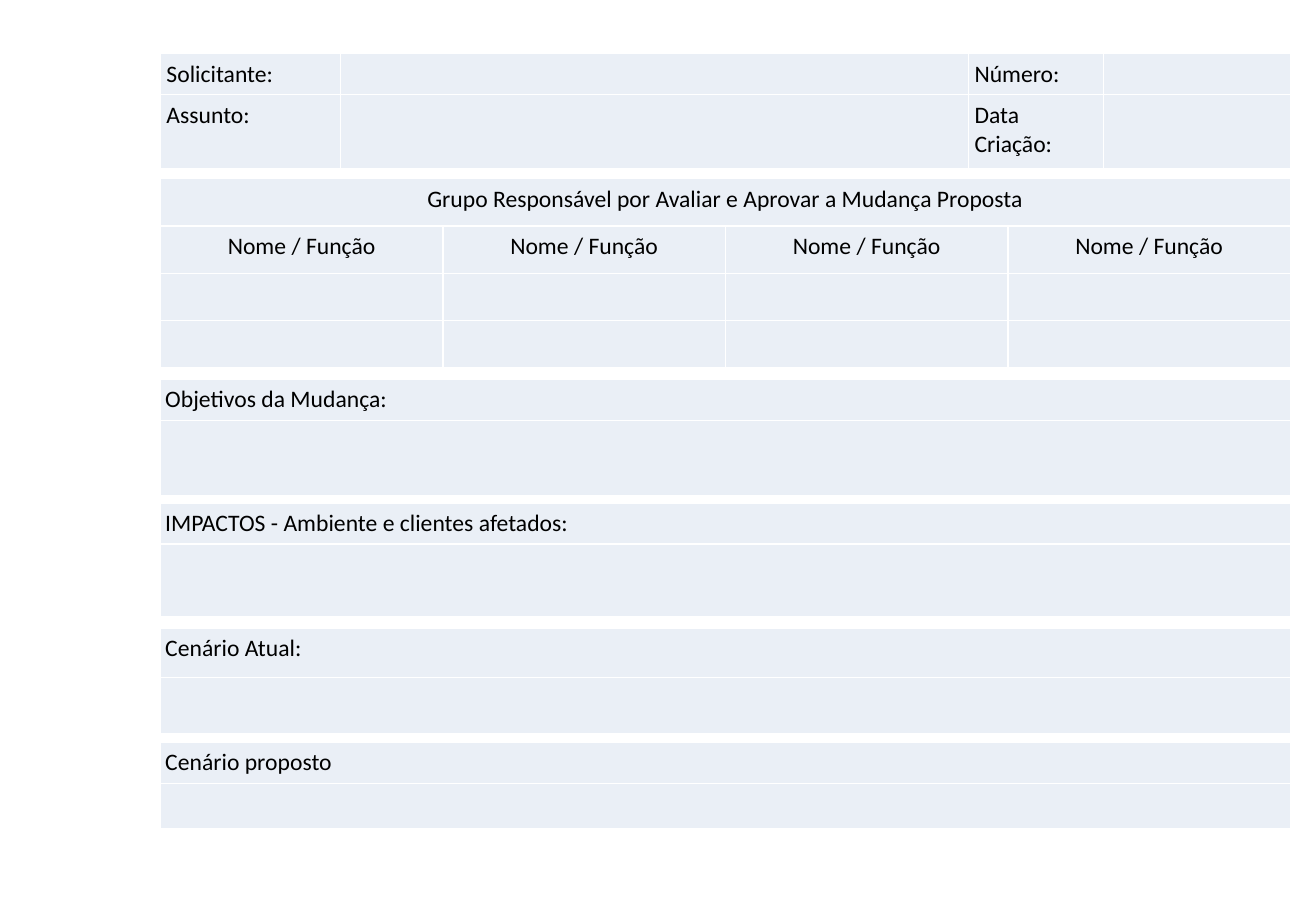
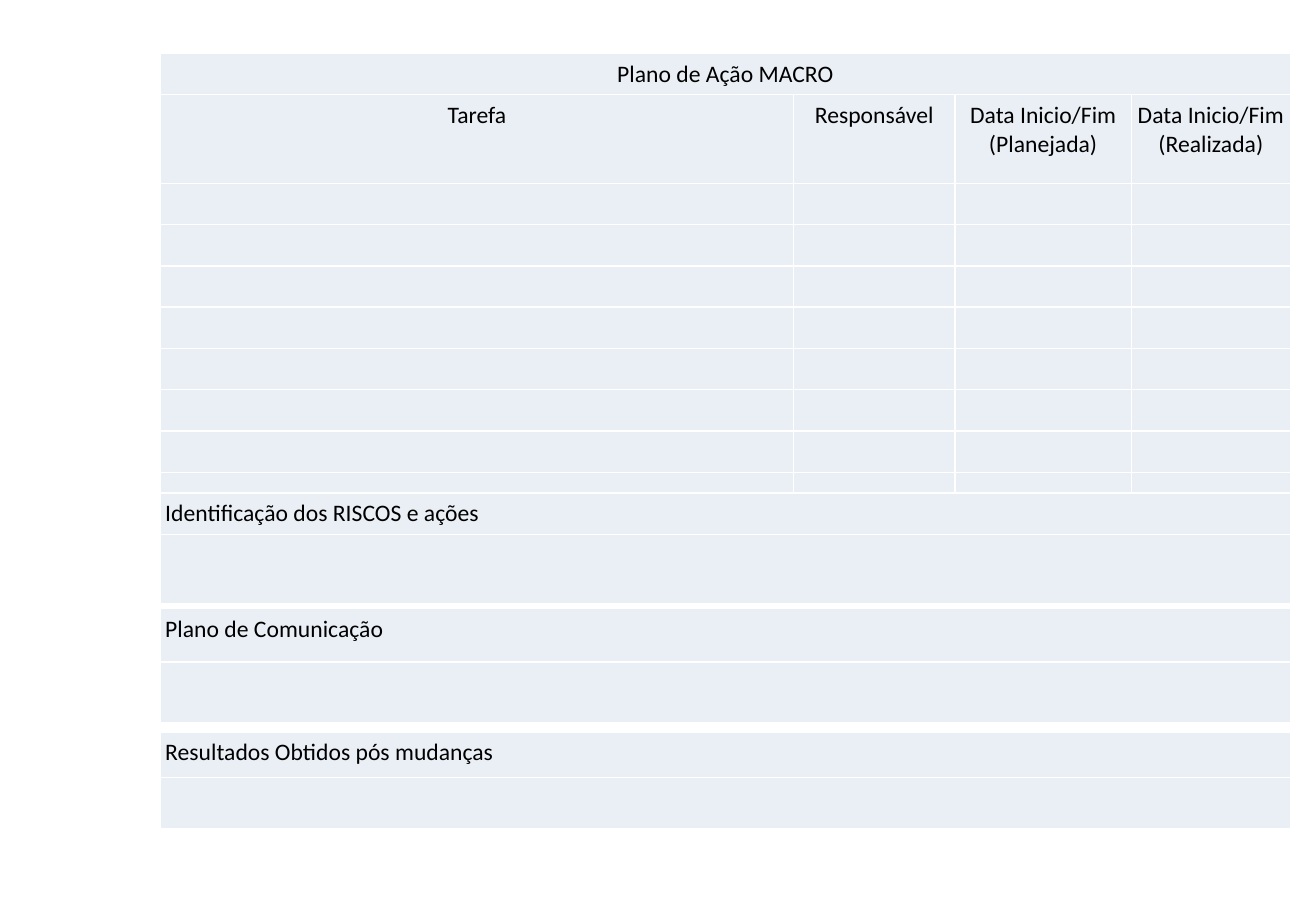
from dataclasses import dataclass, field
from typing import Any

from lxml.etree import SubElement
from pptx import Presentation
from pptx.dml.color import RGBColor
from pptx.enum.text import PP_ALIGN
from pptx.oxml.ns import qn
from pptx.util import Inches, Pt

SLIDE_WIDTH, SLIDE_HEIGHT = Inches(10.83), Inches(7.5)
TABLE_LEFT, TABLE_WIDTH = Inches(1.32), Inches(9.3)
CELL_FILL = RGBColor(0xEA, 0xEF, 0xF6)
BORDER_COLOR = RGBColor(0xFF, 0xFF, 0xFF)
TEXT_COLOR = RGBColor(0x00, 0x00, 0x00)
FONT_SIZE, BORDER_WIDTH = Pt(14), Pt(0.96)
FONT_FORMAT = {"name": "Calibri", "size": FONT_SIZE}
TEXT_ROW = 0.34

FIELD_FORMAT = {"space_before": Pt(4), "space_after": Pt(4)}
HEADER_FORMAT = {"alignment": PP_ALIGN.CENTER}
SECTION_FORMAT = {"space_after": Pt(6)}


@dataclass(frozen=True)
class FormTable:
    """A form block: top and row heights in inches, columns as relative widths."""

    top: float
    rows: tuple[float, ...]
    texts: tuple[tuple[str, ...], ...]
    columns: tuple[float, ...] = (1,)
    paragraph_format: dict[str, Any] = field(default_factory=dict)
    side_margin: float = 0.04
    title_spans: bool = False


def section(top: float, title: str, title_height: float, body_height: float) -> FormTable:
    """Describe a titled block with one empty answer row."""
    return FormTable(top, (title_height, body_height), ((title,),), paragraph_format=SECTION_FORMAT)


PAGES = (
    (
        FormTable(
            0.44, (TEXT_ROW, 0.61),
            (("Solicitante:", "", "Número:", ""), ("Assunto:", "", "Data Criação:", "")),
            (1.48, 5.17, 1.11, 1.54), FIELD_FORMAT, side_margin=0.05,
        ),
        FormTable(
            1.47, (0.39,) * 4,
            (("Grupo Responsável por Avaliar e Aprovar a Mudança Proposta",), ("Nome / Função",) * 4),
            (1,) * 4, HEADER_FORMAT, title_spans=True,
        ),
        section(3.12, "Objetivos da Mudança:", TEXT_ROW, 0.62),
        section(4.14, "IMPACTOS - Ambiente e clientes afetados:", TEXT_ROW, 0.6),
        section(5.17, "Cenário Atual:", 0.41, 0.46),
        section(6.11, "Cenário proposto", TEXT_ROW, 0.37),
    ),
    (
        FormTable(
            0.44, (TEXT_ROW, 0.73) + (TEXT_ROW,) * 8,
            (
                ("Plano de Ação MACRO",),
                ("Tarefa", "Responsável", "Data Inicio/Fim\n(Planejada)", "Data Inicio/Fim\n(Realizada)"),
            ),
            (5.21, 1.33, 1.45, 1.31), HEADER_FORMAT, title_spans=True,
        ),
        section(4.06, "Identificação dos RISCOS e ações", TEXT_ROW, 0.57),
        section(5.01, "Plano de Comunicação", 0.44, 0.5),
        section(6.03, "Resultados Obtidos pós mudanças", 0.37, 0.42),
    ),
)


def apply_format(target: Any, values: dict[str, Any]) -> None:
    """Set each named attribute on the target."""
    for name, value in values.items():
        setattr(target, name, value)


def style_cell(cell: Any, side_margin: float) -> None:
    """Give a cell its margins, borders, fill and empty-text size."""
    side, edge = Inches(side_margin), Inches(0.05)
    apply_format(cell, {
        "margin_left": side, "margin_right": side, "margin_top": edge, "margin_bottom": edge,
    })
    properties = cell._tc.get_or_add_tcPr()
    for tag in ("a:lnL", "a:lnR", "a:lnT", "a:lnB"):
        line = SubElement(properties, qn(tag), w=str(int(BORDER_WIDTH)))
        SubElement(SubElement(line, qn("a:solidFill")), qn("a:srgbClr"), val=str(BORDER_COLOR))
    cell.fill.solid()
    cell.fill.fore_color.rgb = CELL_FILL
    if not cell.text_frame.text:
        SubElement(cell.text_frame.paragraphs[0]._p, qn("a:endParaRPr"), sz=str(int(FONT_SIZE.pt * 100)))


def write_cell(cell: Any, text: str, paragraph_format: dict[str, Any]) -> None:
    """Write one paragraph per line of text."""
    cell.text_frame.text = text
    for para in cell.text_frame.paragraphs:
        apply_format(para, paragraph_format)
        for span in para.runs:
            apply_format(span.font, FONT_FORMAT)
            span.font.color.rgb = TEXT_COLOR


def draw_table(page: Any, form: FormTable) -> None:
    """Draw one form block on the page."""
    table = page.shapes.add_table(
        len(form.rows), len(form.columns), TABLE_LEFT, Inches(form.top),
        TABLE_WIDTH, Inches(sum(form.rows)),
    ).table
    apply_format(table, {"first_row": False, "horz_banding": False})
    for column, share in zip(table.columns, form.columns):
        column.width = int(TABLE_WIDTH * share / sum(form.columns))
    for row, height in zip(table.rows, form.rows):
        row.height = Inches(height)
    if form.title_spans:
        table.cell(0, 0).merge(table.cell(0, len(form.columns) - 1))
    for row_index, texts in enumerate(form.texts):
        for column_index, text in enumerate(texts):
            if text:
                write_cell(table.cell(row_index, column_index), text, form.paragraph_format)
    for cell in table.iter_cells():
        style_cell(cell, form.side_margin)


def main() -> None:
    """Build and save the change request form."""
    deck = Presentation()
    apply_format(deck, {"slide_width": SLIDE_WIDTH, "slide_height": SLIDE_HEIGHT})
    for forms in PAGES:
        page = deck.slides.add_slide(deck.slide_layouts[6])
        for form in forms:
            draw_table(page, form)
    deck.save("out.pptx")


if __name__ == "__main__":
    main()
